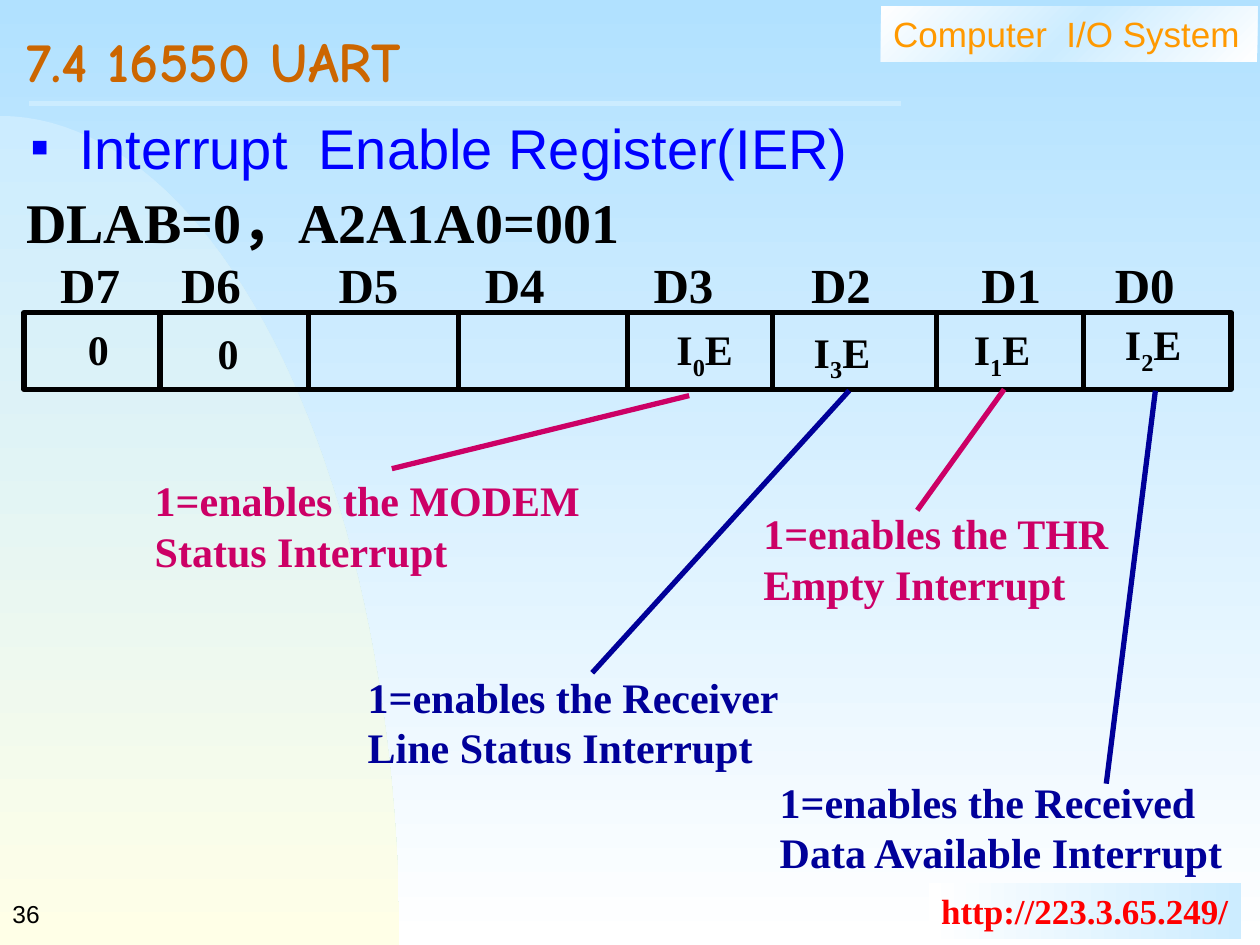
from collections import namedtuple
from copy import deepcopy
from math import cos, pi, sin

from lxml import etree
from pptx import Presentation
from pptx.dml.color import RGBColor
from pptx.enum.shapes import MSO_CONNECTOR, MSO_SHAPE
from pptx.enum.text import MSO_ANCHOR
from pptx.oxml.ns import qn
from pptx.util import Inches, Pt

STRAIGHT = MSO_CONNECTOR.STRAIGHT
RECTANGLE = MSO_SHAPE.RECTANGLE
TOP, MIDDLE = MSO_ANCHOR.TOP, MSO_ANCHOR.MIDDLE

COLUMNS, ROWS = 100, 75
CELL = Inches(0.1)
LINE_WIDTH = Pt(3)
CURVE_STEPS = 48

COLOURS = {
    "sky": "B1E1FF", "ice": "CCECFF", "cream": "FFFFE7", "white": "FFFFFF",
    "orange": "FF9900", "brown": "CC6600", "red": "FF0000", "black": "000000",
    "blue": "0000FF", "navy": "000099", "magenta": "CC0066",
}
SERIF = {"name": "Times New Roman", "bold": True}
SANS = {"name": "Arial", "bold": False}
FORMATS = {
    "brand": {**SANS, "size": Pt(20)},
    "address": {**SERIF, "size": Pt(20)},
    "number": {**SANS, "size": Pt(14)},
    "title": {"name": "Comic Neue", "bold": True, "size": Pt(32)},
    "heading": {**SANS, "size": Pt(32)},
    "condition": {**SERIF, "size": Pt(32)},
    "bit": {**SERIF, "size": Pt(28)},
    "body": {**SERIF, "size": Pt(24)},
}

Box = namedtuple("Box", "left top width height")


def inside(box, left, top, width, height):
    return Box(box.left + left, box.top + top, width, height)


def grid(*lengths):
    return [int(length * CELL) for length in lengths]


def rgb(colour):
    return RGBColor.from_string(COLOURS[colour])


def set_gradient(fill, colours, angle):
    fill.gradient()
    fill.gradient_angle = (360 - angle) % 360
    first = fill.gradient_stops[0]._gs
    for _ in colours[2:]:
        first.addnext(deepcopy(first))
    for index, (stop, colour) in enumerate(zip(fill.gradient_stops, colours)):
        stop.position = index / (len(colours) - 1)
        stop.color.rgb = rgb(colour)


def add_line(slide, start, end, colour):
    line = slide.shapes.add_connector(STRAIGHT, *grid(*start, *end))
    line.line.color.rgb = rgb(colour)
    line.line.width = LINE_WIDTH
    etree.SubElement(line._element.spPr, qn("a:effectLst"))


def add_rectangle(slide, box):
    shape = slide.shapes.add_shape(RECTANGLE, *grid(*box))
    shape.shadow.inherit = False
    shape.line.fill.background()
    return shape


def add_text(slide, box, text, style, colour, wrap=True, anchor=TOP, subscript=None):
    frame = slide.shapes.add_textbox(*grid(*box)).text_frame
    frame.word_wrap = wrap
    frame.vertical_anchor = anchor
    paragraph = frame.paragraphs[0]
    for part in text.partition(subscript) if subscript else [text]:
        run = paragraph.add_run()
        run.text = part
        for name, value in FORMATS[style].items():
            setattr(run.font, name, value)
        run.font.color.rgb = rgb(colour)
        if part == subscript:
            run._r.get_or_add_rPr().set("baseline", "-25000")
    return paragraph


def add_bullet(paragraph, colour):
    properties = paragraph._p.get_or_add_pPr()
    properties.set("marL", str(Inches(0.38)))
    properties.set("indent", str(-Inches(0.38)))
    bullet_colour = etree.SubElement(properties, qn("a:buClr"))
    etree.SubElement(bullet_colour, qn("a:srgbClr"), val=COLOURS[colour])
    etree.SubElement(properties, qn("a:buSzPct"), val="50000")
    etree.SubElement(properties, qn("a:buFont"), typeface="Arial")
    etree.SubElement(properties, qn("a:buChar"), char="■")


def add_tabs(paragraph, positions):
    tabs = etree.SubElement(paragraph._p.get_or_add_pPr(), qn("a:tabLst"))
    for position in grid(*positions):
        etree.SubElement(tabs, qn("a:tab"), pos=str(position), algn="l")


def draw_backdrop(slide, box):
    set_gradient(slide.background.fill, ["sky", "white"], 90)
    bottom = box.top + box.height
    angles = [step * pi / 2 / CURVE_STEPS for step in range(CURVE_STEPS + 1)]
    points = [grid(box.left + box.width * sin(angle), bottom - box.height * cos(angle))
              for angle in angles]
    builder = slide.shapes.build_freeform(*points[0])
    builder.add_line_segments(points[1:] + [grid(box.left, bottom)], close=True)
    curve = builder.convert_to_shape()
    curve.shadow.inherit = False
    curve.line.fill.background()
    set_gradient(curve.fill, ["ice", "cream"], 90)


def draw_banner(slide, box, text, style, colour, stops, angle):
    set_gradient(add_rectangle(slide, box).fill, stops, angle)
    add_text(slide, box, text, style, colour, wrap=False)


def draw_title(slide, box):
    paragraph = add_text(slide, box, "7.4 16550 UART", "title", "brown", anchor=MIDDLE)
    paragraph.line_spacing = 0.7
    rule = box.top + 6.6
    add_line(slide, (box.left + 1.2, rule), (box.left + 70.4, rule), "ice")


def draw_headings(slide, box):
    heading = add_text(slide, inside(box, 0.4, 0, box.width, 6),
                       "Interrupt  Enable Register(IER)", "heading", "blue")
    add_bullet(heading, "blue")
    add_text(slide, inside(box, 0, 5.9, 60, 6.4),
             "DLAB=0，A2A1A0=001", "condition", "black")


def draw_register(slide, box):
    labels = add_text(slide, inside(box, 1.9, -5.1, 92, 5.7),
                      "\t".join(f"D{bit}" for bit in range(7, -1, -1)), "bit", "black")
    add_tabs(labels, [9.6, 22.1, 33.7, 47.1, 59.6, 73.1, 83.7])
    frame = add_rectangle(slide, box)
    frame.fill.background()
    frame.line.color.rgb = rgb("black")
    frame.line.width = LINE_WIDTH
    for offset in [10.8, 22.6, 34.5, 47.9, 59.4, 72.4, 84.1]:
        divider = box.left + offset
        add_line(slide, (divider, box.top), (divider, box.top + box.height), "black")
    for left, top, bit in [(50.8, 0.4, "0"), (61.7, 0.6, "3"),
                           (74.4, 0.4, "1"), (86.4, 0, "2")]:
        add_text(slide, inside(box, left, top, 6.5, 5.6), f"I{bit}E", "body", "black",
                 wrap=False, subscript=bit)
    for left, top in [(4.1, 0.4), (14.4, 0.7)]:
        add_text(slide, inside(box, left, top, 3.6, 5), "0", "body", "black", wrap=False)


def draw_callout(slide, box, text, colour, start, end):
    points = [(box.left + across, box.top + down) for across, down in (start, end)]
    add_line(slide, *points, colour)
    add_text(slide, box, text, "body", colour)


def main():
    presentation = Presentation()
    presentation.slide_width, presentation.slide_height = grid(COLUMNS, ROWS)
    slide = presentation.slides.add_slide(presentation.slide_layouts[6])

    draw_backdrop(slide, Box(0, 9.2, 31.7, 65.8))
    draw_banner(slide, Box(69.9, 0.5, 29.9, 4.4), "Computer  I/O System",
                "brand", "orange", ["white", "ice", "white"], 45)
    draw_banner(slide, Box(73.7, 70.1, 24.8, 4.4), "http://223.3.65.249/",
                "address", "red", ["white", "ice"], 0)
    add_text(slide, Box(0, 70, 20.8, 5), "36", "number", "black", anchor=MIDDLE)
    draw_title(slide, Box(1.1, 1.6, 95.5, 7.7))
    draw_headings(slide, Box(1.1, 8.5, 95.5, 12.3))
    draw_register(slide, Box(1.9, 24.8, 95.8, 6.1))

    callouts = [
        (Box(11.3, 37.2, 36.6, 9), "1=enables the MODEM Status Interrupt",
         "magenta", (43.4, -5.8), (19.8, 0)),
        (Box(28.2, 52.8, 36, 9), "1=enables the Receiver Line Status Interrupt",
         "navy", (39.2, -21.8), (18.8, 0.6)),
        (Box(59.6, 39.8, 30, 9), "1=enables the THR Empty Interrupt",
         "magenta", (20.1, -8.9), (13.2, 0.7)),
        (Box(60.9, 61.1, 37.6, 9), "1=enables the Received Data Available Interrupt",
         "navy", (30.8, -30.1), (26.9, 1.1)),
    ]
    for callout in callouts:
        draw_callout(slide, *callout)

    presentation.save("out.pptx")


if __name__ == "__main__":
    main()
